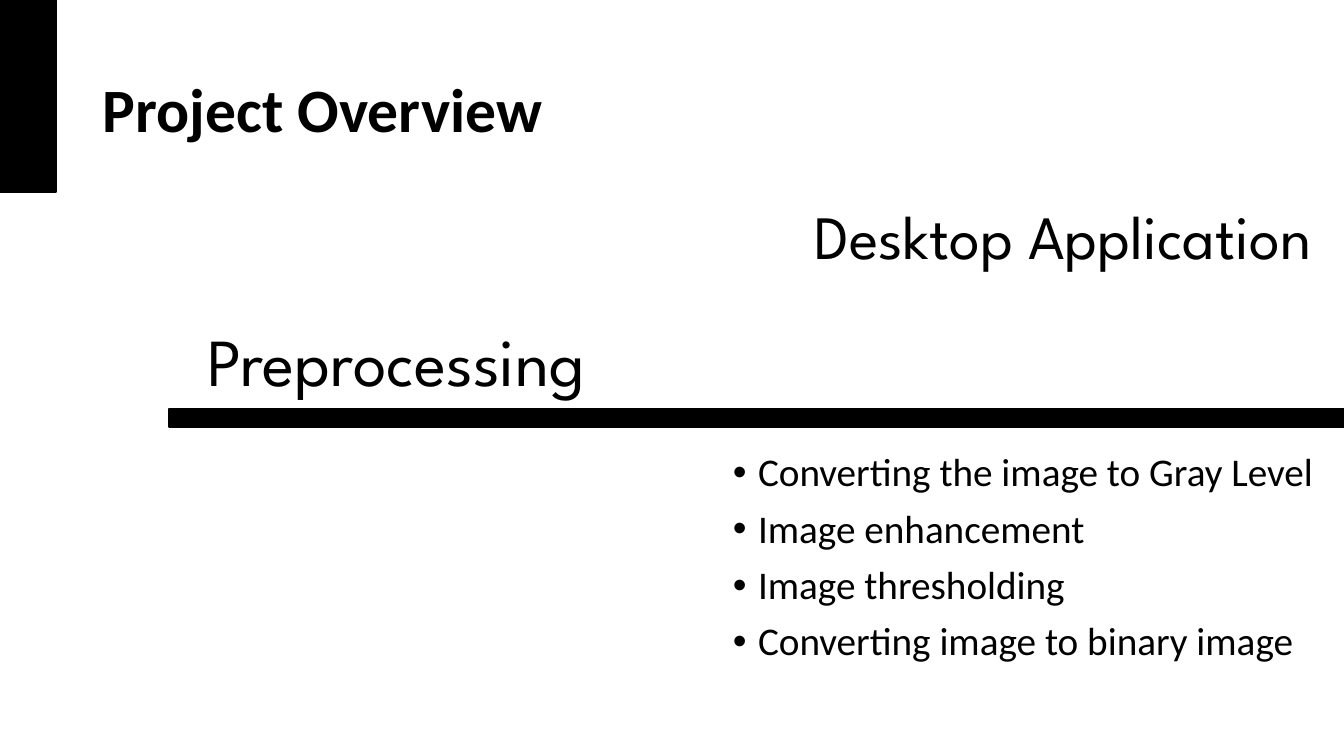
from pptx import Presentation
from pptx import util as u
from pptx.dml.color import RGBColor
from pptx.enum import shapes, text
from lxml import etree

PX = 914400 / 100.8
COLORS = {"ink": "000000", "paper": "FFFFFF"}


def px(*lengths):
    return [u.Emu(round(n * PX)) for n in lengths]


def add_text(box, lines, font, size, align, anchor, bold=False):
    tf = s.shapes.add_textbox(*px(*box)).text_frame
    tf.word_wrap = True
    tf.vertical_anchor = anchor
    tf.text = "\n".join(lines)
    for p in tf.paragraphs:
        p.alignment = align
        p.font.name, p.font.size, p.font.bold = font, u.Pt(size), bold
        p.font.color.rgb = RGBColor.from_string(COLORS["ink"])
    return tf


prs = Presentation()
prs.slide_width, prs.slide_height = px(1344, 756)
s = prs.slides.add_slide(prs.slide_layouts[6])
s.background.fill.solid()
s.background.fill.fore_color.rgb = RGBColor.from_string(COLORS["paper"])

# Corner block and dividing bar
for box in [(0, 0, 56, 192), (169, 409, 1175, 18)]:
    sp = s.shapes.add_shape(shapes.MSO_SHAPE.RECTANGLE, *px(*box))
    sp.shadow.inherit = False
    sp.fill.solid()
    sp.fill.fore_color.rgb = RGBColor.from_string(COLORS["ink"])
    sp.line.color.rgb = RGBColor.from_string(COLORS["ink"])
    sp.line.width = u.Pt(1)

# Title and headings
left, center, right = text.PP_ALIGN.LEFT, text.PP_ALIGN.CENTER, text.PP_ALIGN.RIGHT
top, middle = text.MSO_ANCHOR.TOP, text.MSO_ANCHOR.MIDDLE
title = add_text((93, 40, 1159, 146), ["Project Overview"], "Calibri", 44, left, middle, True)
title.paragraphs[0].line_spacing = 0.9
add_text((334, 183, 988, 103), ["Desktop Application"], "League Spartan", 44, right, middle)
add_text((94, 234, 621, 251), ["Preprocessing "], "League Spartan", 48, center, middle)

# Preprocessing steps
steps = ["Converting the image to Gray Level", "Image enhancement",
         "Image thresholding", "Converting image to binary image"]
body = add_text((723, 448, 621, 308), steps, "Calibri", 28, left, top)
for p in body.paragraphs:
    p.line_spacing, p.space_before = 0.9, u.Pt(10)
    pPr = p._p.get_or_add_pPr()
    pPr.set("marL", str(u.Inches(0.25)))
    pPr.set("indent", str(-u.Inches(0.25)))
    ns = pPr.nsmap["a"]
    bullet_font = etree.Element(f"{{{ns}}}buFont", typeface="Arial")
    bullet = etree.Element(f"{{{ns}}}buChar", char="•")
    pPr.find(f"{{{ns}}}spcBef").addnext(bullet_font)
    bullet_font.addnext(bullet)

prs.save("out.pptx")
